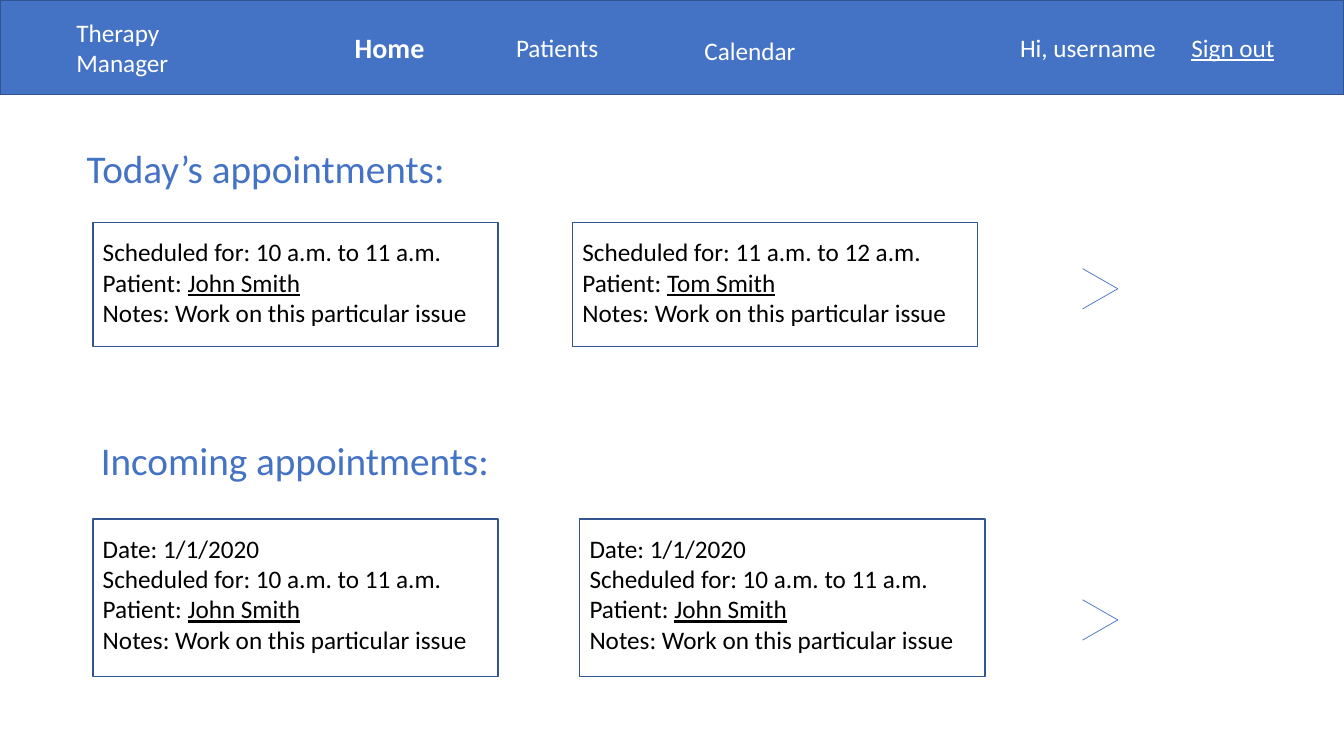
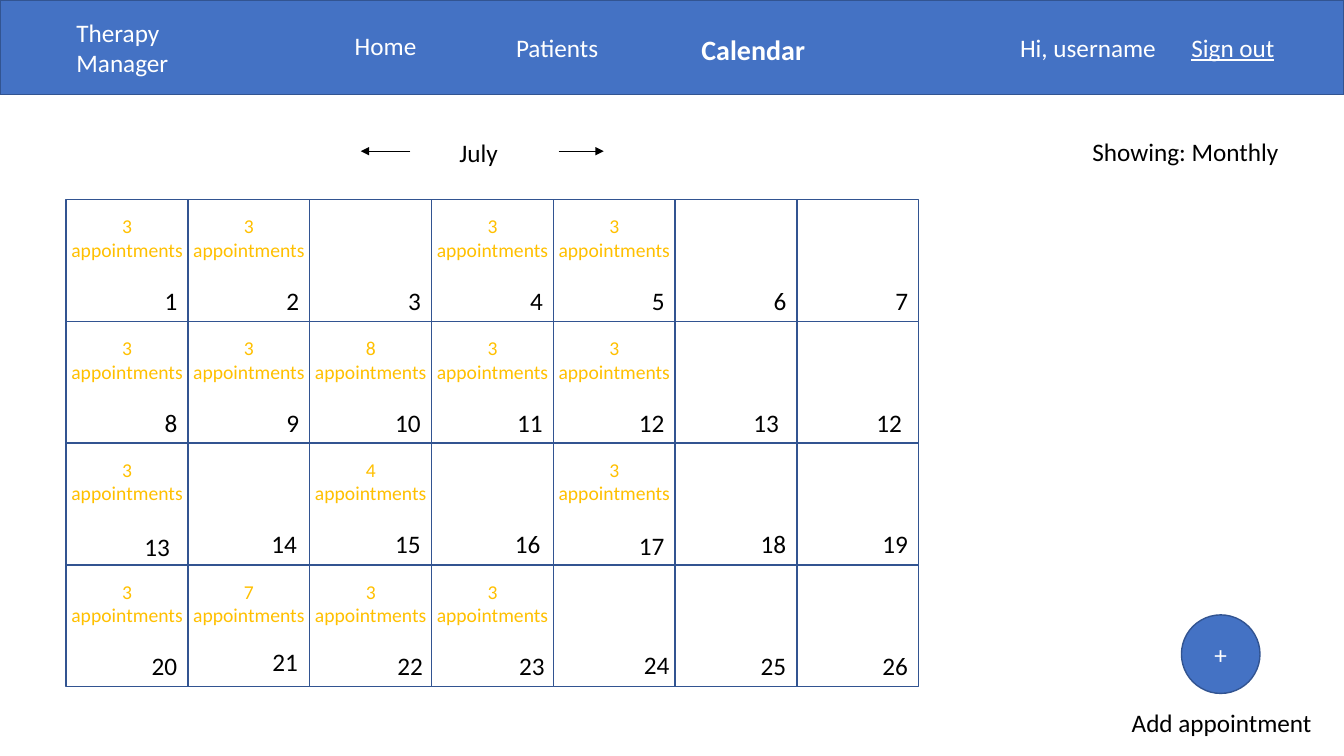
from dataclasses import dataclass

from lxml import etree
from pptx import Presentation
from pptx import util as u
from pptx.dml.color import RGBColor
from pptx.enum import shapes, text
from pptx.oxml import ns


@dataclass(frozen=True)
class Theme:
    font: str = "Calibri"
    accent: str = "4472C4"
    outline: str = "325491"
    white: str = "FFFFFF"
    ink: str = "000000"
    booked: str = "FFC000"
    small: int = 14
    body: int = 18
    active: int = 20
    title: int = 28
    border: float = 1
    thin: float = 0.5


THEME = Theme()

# The slide is a grid of 64 columns and 36 rows of square cells
COLUMNS, ROWS = 64, 36
UNIT = u.Inches(7.5) / ROWS
LINE_HEIGHT = 1.92
ACTIVE_HEIGHT = 2.11
TITLE_HEIGHT = 2.74

# Navigation: name, then (column, row, width) when idle and when active
NAVIGATION = [
    ("Home", (16.42, 1.2, 3.98), (16.42, 1.2, 4.32)),
    ("Patients", (24.1, 1.3, 5.04), (24.1, 1.3, 5.04)),
    ("Calendar", (33.07, 1.44, 5.42), (32.93, 1.3, 5.95)),
]

# Month: one (day, number of appointments) per cell, week by week
WEEKS = [
    [(1, 3), (2, 3), (3, 0), (4, 3), (5, 3), (6, 0), (7, 0)],
    [(8, 3), (9, 3), (10, 8), (11, 3), (12, 3), (13, 0), (12, 0)],
    [(13, 3), (14, 0), (15, 4), (16, 0), (17, 3), (18, 0), (19, 0)],
    [(20, 3), (21, 7), (22, 3), (23, 3), (24, 0), (25, 0), (26, 0)],
]
DAY_SIZE = 5.8
# Day numbers set off from their usual corner, by (week, weekday)
DAY_SHIFTS = {
    (1, 5): (-0.34, 0), (1, 6): (-0.29, 0),
    (2, 0): (-0.34, 0.14), (2, 1): (-0.1, 0), (2, 3): (-0.1, 0), (2, 4): (0, 0.1),
    (3, 1): (-0.05, -0.19), (3, 2): (0.1, 0), (3, 3): (0.1, 0), (3, 4): (0.24, -0.05),
}


def grid(*lengths):
    return [u.Emu(round(length * UNIT)) for length in lengths]


def color(value):
    return RGBColor.from_string(value)


# Elements
def write_text(shape, paragraphs, size=THEME.body, ink=THEME.ink, bold=False,
               underline=False, align=text.PP_ALIGN.LEFT):
    """Each paragraph is a string or a list of (string, underlined) runs."""
    frame = shape.text_frame
    for index, content in enumerate(paragraphs):
        paragraph = frame.paragraphs[0] if index == 0 else frame.add_paragraph()
        paragraph.alignment = align
        runs = [(content, underline)] if isinstance(content, str) else content
        for words, underlined in runs:
            run = paragraph.add_run()
            run.text = words
            font = run.font
            font.name, font.size, font.bold = THEME.font, u.Pt(size), bold
            font.underline = underlined
            font.color.rgb = color(ink)


def add_text(slide, area, *paragraphs, wrap=False, **style):
    shape = slide.shapes.add_textbox(*grid(*area))
    shape.text_frame.word_wrap = wrap
    shape.text_frame.auto_size = text.MSO_AUTO_SIZE.SHAPE_TO_FIT_TEXT
    write_text(shape, paragraphs, **style)


def add_box(slide, area, fill=THEME.white, kind=shapes.MSO_SHAPE.RECTANGLE):
    shape = slide.shapes.add_shape(kind, *grid(*area))
    shape.shadow.inherit = False
    shape.fill.solid()
    shape.fill.fore_color.rgb = color(fill)
    shape.line.color.rgb = color(THEME.outline)
    shape.line.width = u.Pt(THEME.border)
    return shape


def add_line(slide, start, end, ink, arrow=False):
    line = slide.shapes.add_connector(shapes.MSO_CONNECTOR.STRAIGHT, *grid(*start, *end))
    line.line.color.rgb = color(ink)
    line.line.width = u.Pt(THEME.thin)
    if arrow:
        etree.SubElement(line.line._get_or_add_ln(), ns.qn("a:tailEnd"), type="triangle")
    etree.SubElement(line._element.spPr, ns.qn("a:effectLst"))


def add_header(slide, active):
    add_box(slide, (0, 0, COLUMNS, 4.5), fill=THEME.accent)
    add_text(slide, (3.17, 0.58, 8.78, 3.41), "Therapy Manager", wrap=True, ink=THEME.white)
    add_text(slide, (48.1, 1.3, 8.74, LINE_HEIGHT), "Hi, username", wrap=True, ink=THEME.white)
    add_text(slide, (56.26, 1.3, 6.82, LINE_HEIGHT), "Sign out", wrap=True,
             ink=THEME.white, underline=True)
    for name, idle_place, active_place in NAVIGATION:
        if name == active:
            add_text(slide, (*active_place, ACTIVE_HEIGHT), name, ink=THEME.white,
                     size=THEME.active, bold=True)
        else:
            add_text(slide, (*idle_place, LINE_HEIGHT), name, ink=THEME.white)


def add_title(slide, column, row, words):
    add_text(slide, (column, row, 21.6, TITLE_HEIGHT), words, wrap=True, size=THEME.title,
             ink=THEME.accent, align=text.PP_ALIGN.CENTER)


def add_appointment(slide, column, row, height, patient, hours, date=None):
    lines = [f"Date: {date}"] if date else []
    lines += [f"Scheduled for: {hours}",
              [("Patient: ", False), (patient, True)],
              "Notes: Work on this particular issue"]
    add_box(slide, (column, row, 19.3, height))
    add_text(slide, (column, row + 0.43, 18.48, 0.48 + 1.45 * len(lines)), *lines)


def add_chevron(slide, row):
    for offset in (0.96, -0.96):
        add_line(slide, (51.55, row + offset), (53.23, row), THEME.accent)


def add_day(slide, column, row, day, appointments, shift):
    add_box(slide, (column, row, DAY_SIZE, DAY_SIZE))
    number = str(day)
    width = 0.96 + 0.62 * len(number)
    add_text(slide, (column + DAY_SIZE - width + shift[0], row + 3.84 + shift[1],
                     width, LINE_HEIGHT), number)
    if appointments:
        add_text(slide, (column - 0.26, row + 0.46, 6.33, TITLE_HEIGHT),
                 str(appointments), "appointments", size=THEME.small,
                 ink=THEME.booked, align=text.PP_ALIGN.CENTER)


# Slides
def build_home(slide):
    add_header(slide, "Home")

    add_title(slide, 1.85, 6.62, "Today’s appointments:")
    add_appointment(slide, 4.42, 10.61, 5.9, "John Smith", "10 a.m. to 11 a.m.")
    add_appointment(slide, 27.26, 10.61, 5.9, "Tom Smith", "11 a.m. to 12 a.m.")
    add_chevron(slide, 13.75)

    add_title(slide, 3.24, 20.54, "Incoming appointments:")
    for column in (4.42, 27.6):
        add_appointment(slide, column, 24.72, 7.5, "John Smith", "10 a.m. to 11 a.m.",
                        date="1/1/2020")
    add_chevron(slide, 29.52)


def build_calendar(slide):
    add_header(slide, "Calendar")

    # Month switch and view
    add_text(slide, (21.41, 6.29, 2.83, LINE_HEIGHT), "July")
    for start, end in ((26.6, 28.75), (19.54, 17.18)):
        add_line(slide, (start, 7.2), (end, 7.2), THEME.ink, arrow=True)
    add_text(slide, (51.55, 6.24, 9.94, LINE_HEIGHT), "Showing: Monthly")

    # Days
    for week, days in enumerate(WEEKS):
        for weekday, (day, appointments) in enumerate(days):
            add_day(slide, 3.15 + weekday * DAY_SIZE, 9.5 + week * DAY_SIZE, day,
                    appointments, DAY_SHIFTS.get((week, weekday), (0, 0)))

    # Add button
    button = add_box(slide, (56.26, 29.28, 3.74, 3.74), fill=THEME.accent,
                     kind=shapes.MSO_SHAPE.OVAL)
    button.text_frame.vertical_anchor = text.MSO_ANCHOR.MIDDLE
    write_text(button, ["+"], ink=THEME.white, align=text.PP_ALIGN.CENTER)
    add_text(slide, (53.42, 33.46, 9.65, LINE_HEIGHT), "Add appointment")


def main():
    presentation = Presentation()
    presentation.slide_width, presentation.slide_height = grid(COLUMNS, ROWS)
    blank = presentation.slide_layouts[6]
    for build in (build_home, build_calendar):
        build(presentation.slides.add_slide(blank))
    presentation.save("out.pptx")


main()
